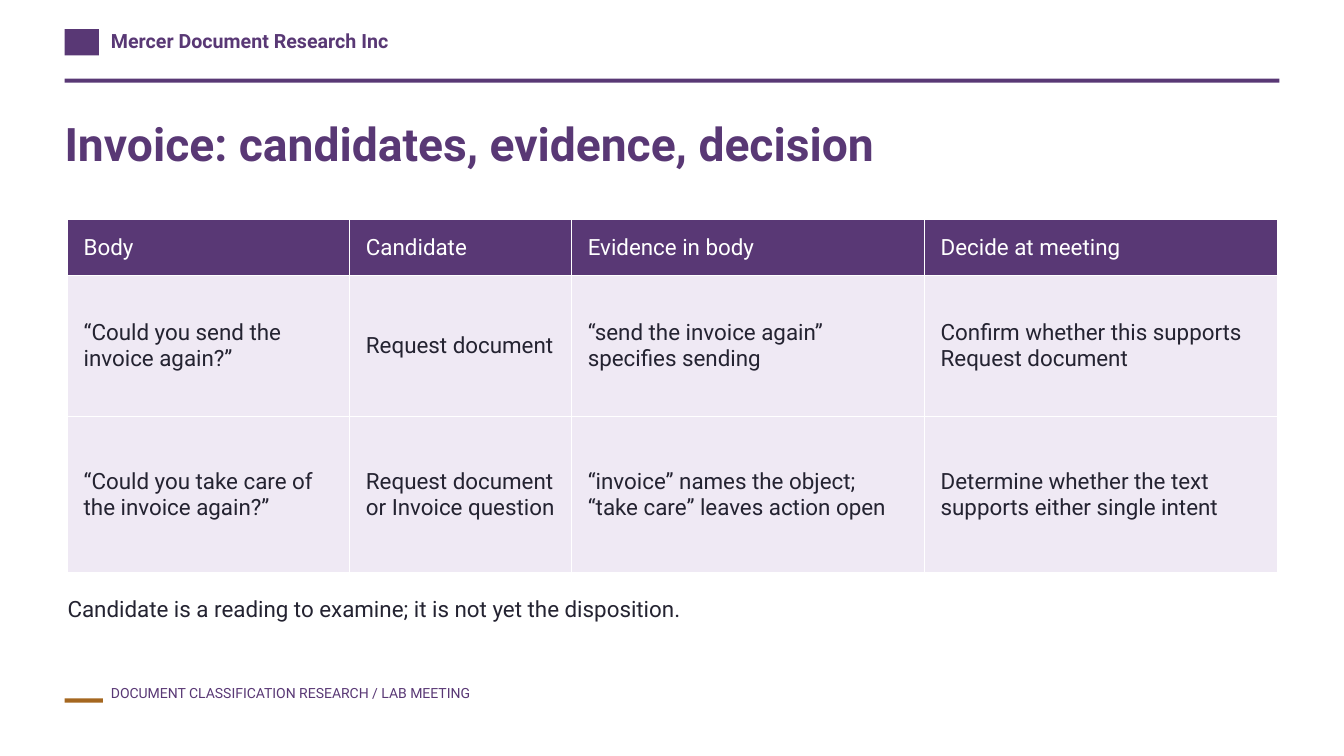
from collections import namedtuple
from dataclasses import dataclass

from lxml import etree
from pptx import Presentation
from pptx.dml.color import RGBColor
from pptx.enum.shapes import MSO_SHAPE
from pptx.enum.text import MSO_ANCHOR, MSO_AUTO_SIZE, PP_ALIGN
from pptx.oxml.ns import qn
from pptx.util import Pt

RECTANGLE = MSO_SHAPE.RECTANGLE
TOP, MIDDLE = MSO_ANCHOR.TOP, MSO_ANCHOR.MIDDLE
LEFT = PP_ALIGN.LEFT
NO_AUTOFIT = MSO_AUTO_SIZE.NONE
EMU_PER_PX = 9144  # 100 px to the inch

Box = namedtuple("Box", "left top width height")


@dataclass(frozen=True)
class Theme:
    font: str = "Roboto"
    purple: str = "593875"
    amber: str = "A56720"
    lilac: str = "EFE9F4"
    ink: str = "242331"
    white: str = "FFFFFF"
    title_size: int = 33
    body_size: int = 16
    brand_size: int = 14
    footer_size: int = 10


THEME = Theme()

COLUMN_WIDTHS = [280, 220, 350, 350]
ROW_HEIGHTS = [55, 140, 155]
ROWS = [
    ["Body", "Candidate", "Evidence in body", "Decide at meeting"],
    [
        "“Could you send the invoice again?”",
        "Request document",
        "“send the invoice again” specifies sending",
        "Confirm whether this supports Request document",
    ],
    [
        "“Could you take care of the invoice again?”",
        "Request document or Invoice question",
        "“invoice” names the object; “take care” leaves action open",
        "Determine whether the text supports either single intent",
    ],
]


def px(length):
    return length * EMU_PER_PX


def emu(box):
    return [px(length) for length in box]


def set_text(frame, text, size, color, bold=False):
    """Write one left-aligned paragraph in the theme font."""
    frame.text = text
    para = frame.paragraphs[0]
    para.alignment = LEFT
    for span in para.runs:
        span.font.name = THEME.font
        span.font.size = Pt(size)
        span.font.bold = bold
        span.font.color.rgb = RGBColor.from_string(color)


def clear_margins(frame):
    frame.margin_left = frame.margin_top = 0
    frame.margin_right = frame.margin_bottom = 0


def add_bar(slide, box, color):
    bar = slide.shapes.add_shape(RECTANGLE, *emu(box))
    bar.shadow.inherit = False
    bar.fill.solid()
    bar.fill.fore_color.rgb = RGBColor.from_string(color)
    bar.line.fill.background()


def add_label(slide, box, text, size, bold=False):
    frame = slide.shapes.add_textbox(*emu(box)).text_frame
    clear_margins(frame)
    set_text(frame, text, size, THEME.purple, bold)


def add_header(slide, box):
    add_bar(slide, Box(box.left, box.top, 34, 26), THEME.purple)
    add_label(slide, Box(box.left + 46, box.top, 310, 30),
              "Mercer Document Research Inc", THEME.brand_size, bold=True)
    add_bar(slide, Box(box.left, box.top + box.height - 4, box.width, 4), THEME.purple)


def add_footer(slide, box):
    add_bar(slide, Box(box.left, box.top + 14, 38, 4), THEME.amber)
    add_label(slide, Box(box.left + 46, box.top, box.width - 46, box.height),
              "DOCUMENT CLASSIFICATION RESEARCH / LAB MEETING", THEME.footer_size)


def fill_placeholder(holder, box, text, size, color, space_after, bold=False):
    holder.left, holder.top, holder.width, holder.height = emu(box)
    frame = holder.text_frame
    clear_margins(frame)
    frame.word_wrap = True
    frame.auto_size = NO_AUTOFIT
    frame.vertical_anchor = TOP
    set_text(frame, text, size, color, bold)
    para = frame.paragraphs[0]
    para.space_before = Pt(0)
    para.space_after = Pt(space_after)
    return para


def add_title(slide, box):
    fill_placeholder(slide.shapes.title, box, "Invoice: candidates, evidence, decision",
                     THEME.title_size, THEME.purple, 8, bold=True)


def add_note(slide, box):
    para = fill_placeholder(
        slide.placeholders[1], box,
        "Candidate is a reading to examine; it is not yet the disposition.",
        THEME.body_size, THEME.ink, 12)
    properties = para._p.get_or_add_pPr()
    properties.set("marL", "0")
    properties.set("indent", "0")
    etree.SubElement(properties, qn("a:buNone"))


def add_evidence_table(slide, box):
    table = slide.shapes.add_table(len(ROWS), len(COLUMN_WIDTHS), *emu(box)).table
    table.horz_banding = False
    for column, width in zip(table.columns, COLUMN_WIDTHS):
        column.width = px(width)
    for row, height in zip(table.rows, ROW_HEIGHTS):
        row.height = px(height)
    for row_index, texts in enumerate(ROWS):
        is_header = row_index == 0
        for column_index, text in enumerate(texts):
            cell = table.cell(row_index, column_index)
            cell.fill.solid()
            cell.fill.fore_color.rgb = RGBColor.from_string(
                THEME.purple if is_header else THEME.lilac)
            cell.vertical_anchor = MIDDLE
            cell.margin_left = cell.margin_right = px(16)
            cell.margin_top = cell.margin_bottom = px(5)
            set_text(cell.text_frame, text, THEME.body_size,
                     THEME.white if is_header else THEME.ink)


def main():
    deck = Presentation()
    deck.slide_width, deck.slide_height = px(1333), px(750)
    slide = deck.slides.add_slide(deck.slide_layouts[1])
    add_header(slide, Box(64, 29, 1205, 53))
    add_footer(slide, Box(64, 679, 476, 35))
    add_title(slide, Box(64, 114, 1204, 82))
    add_evidence_table(slide, Box(67, 218, sum(COLUMN_WIDTHS), sum(ROW_HEIGHTS)))
    add_note(slide, Box(67, 590, 1199, 58))
    deck.save("out.pptx")


if __name__ == "__main__":
    main()
